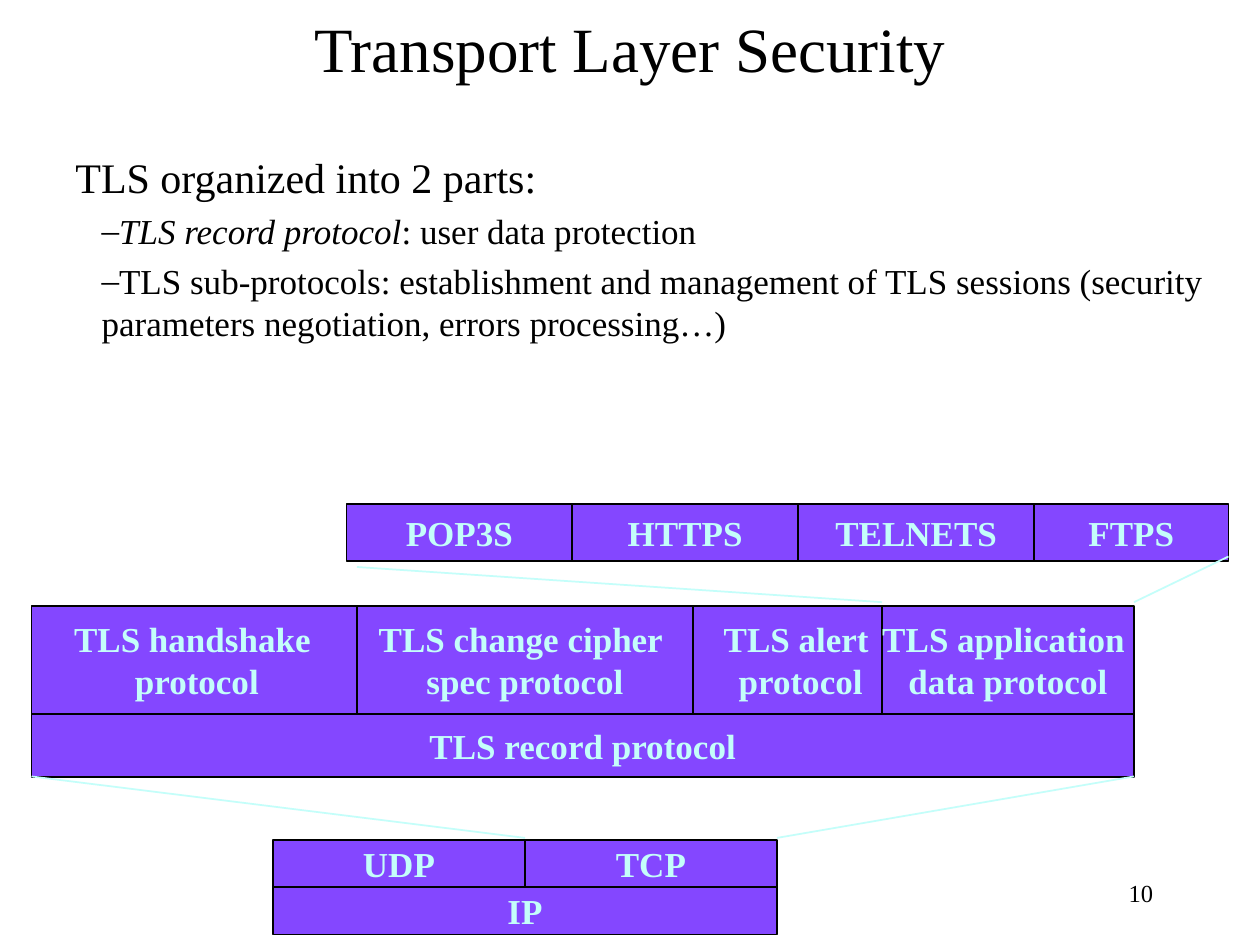
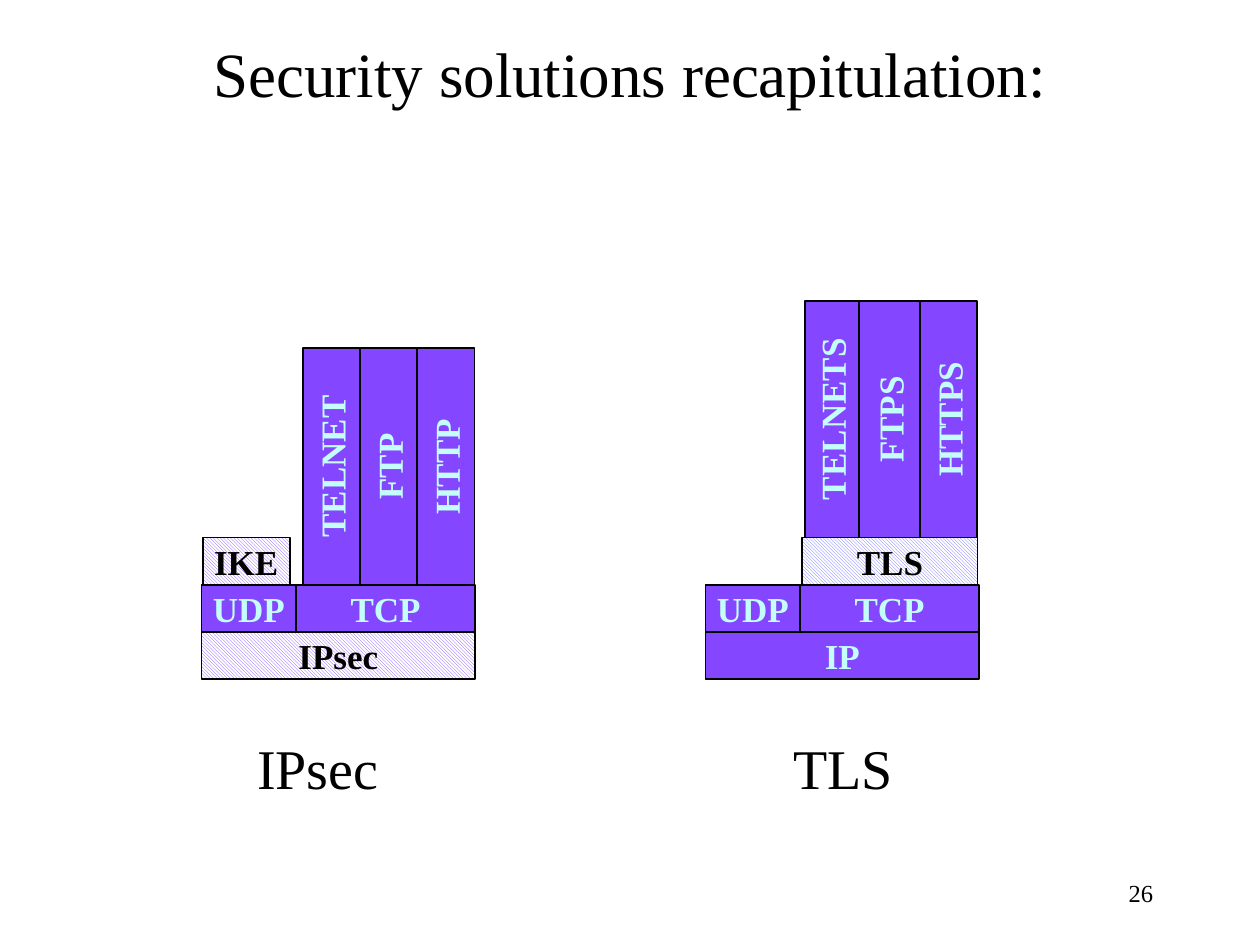
"""Build two slides that compare protocol stacks for network security."""
from dataclasses import dataclass

from lxml.etree import SubElement
from pptx import Presentation
from pptx.dml.color import RGBColor
from pptx.enum.dml import MSO_PATTERN
from pptx.enum.shapes import MSO_CONNECTOR, MSO_SHAPE
from pptx.enum.text import MSO_ANCHOR as Anchor, PP_ALIGN as Align
from pptx.oxml.ns import qn
from pptx.slide import Slide
from pptx.text.text import TextFrame, _Paragraph as Paragraph
from pptx.util import Emu, Inches, Pt

WIDTH, HEIGHT = Inches(10), Inches(7.5)
COLUMNS, ROWS = 240, 180
FONT = "Times New Roman"
BLACK = RGBColor(0x00, 0x00, 0x00)
WHITE = RGBColor(0xFF, 0xFF, 0xFF)
PURPLE = RGBColor(0x84, 0x47, 0xFF)
PERIWINKLE = RGBColor(0x66, 0x66, 0xFF)
AQUA = RGBColor(0xC4, 0xFE, 0xFA)
LEADING_SHARE = 0.23


@dataclass(frozen=True)
class Area:
    """A rectangle in grid columns and rows."""
    column: float
    row: float
    columns: float
    rows: float

    def emu(self) -> tuple[Emu, Emu, Emu, Emu]:
        """Return left, top, width and height."""
        return across(self.column), down(self.row), across(self.columns), down(self.rows)

    def turned(self) -> "Area":
        """Return the area that covers this one after a quarter turn."""
        shift = (self.columns - self.rows) / 2
        return Area(self.column + shift, self.row - shift, self.rows, self.columns)


@dataclass(frozen=True)
class Style:
    """How the text of a box looks."""
    size: int
    color: RGBColor = BLACK
    bold: bool = False
    align: Align = Align.LEFT
    anchor: Anchor = Anchor.TOP
    spaced: bool = False


@dataclass(frozen=True)
class Block:
    """One protocol in a stack."""
    name: str
    area: Area
    hatch: RGBColor | None = None
    upright: bool = False


@dataclass(frozen=True)
class Ray:
    """A line between two layers, in grid columns and rows."""
    start: tuple[float, float]
    end: tuple[float, float]


TITLE = Style(36, align=Align.CENTER, anchor=Anchor.MIDDLE)
NUMBER = Style(14, align=Align.RIGHT, anchor=Anchor.MIDDLE)
LEAD = Style(24, spaced=True)
POINT = Style(20, spaced=True)
CAPTION = Style(32, spaced=True)
SOLID_NAME = Style(20, AQUA, True, Align.CENTER, Anchor.MIDDLE)
HATCHED_NAME = Style(20, BLACK, True, Align.CENTER, Anchor.MIDDLE)
NUMBER_AREA = Area(172, 164, 50, 12)


def across(columns: float) -> Emu:
    """Convert grid columns to a length."""
    return Emu(round(WIDTH * columns / COLUMNS))


def down(rows: float) -> Emu:
    """Convert grid rows to a length."""
    return Emu(round(HEIGHT * rows / ROWS))


def format_para(para: Paragraph, style: Style) -> None:
    """Apply a style to a paragraph and its runs."""
    para.alignment = style.align
    if style.spaced:
        para.space_before = Pt(round(style.size * LEADING_SHARE, 1))
    for span in para.runs:
        span.font.name = FONT
        span.font.size = Pt(style.size)
        span.font.bold = style.bold
        span.font.color.rgb = style.color


def write(frame: TextFrame, text: str, style: Style, wrap: bool = True) -> None:
    """Fill a text frame, one paragraph for each line."""
    frame.text = text
    frame.word_wrap = wrap
    frame.vertical_anchor = style.anchor
    for para in frame.paragraphs:
        format_para(para, style)


def add_text(page: Slide, text: str, area: Area, style: Style) -> TextFrame:
    """Add a text box."""
    frame = page.shapes.add_textbox(*area.emu()).text_frame
    write(frame, text, style)
    return frame


def add_dash_point(frame: TextFrame, text: str, italic_start: str = "") -> None:
    """Add a point with a dash, its opening words possibly in italics."""
    para = frame.add_paragraph()
    if italic_start:
        span = para.add_run()
        span.text = italic_start
        span.font.italic = True
    para.add_run().text = text
    para.level = 1
    format_para(para, POINT)
    properties = para._p.get_or_add_pPr()
    properties.set("marL", str(across(5)))
    properties.set("indent", "0")
    SubElement(properties, qn("a:buFont")).set("typeface", FONT)
    SubElement(properties, qn("a:buChar")).set("char", "–")


def add_block(page: Slide, block: Block) -> None:
    """Draw one protocol block."""
    area = block.area.turned() if block.upright else block.area
    box = page.shapes.add_shape(MSO_SHAPE.RECTANGLE, *area.emu())
    box.rotation = 270 if block.upright else 0
    box.shadow.inherit = False
    box.line.color.rgb = BLACK
    box.line.width = Pt(1)
    if block.hatch:
        box.fill.patterned()
        box.fill.pattern = MSO_PATTERN.LIGHT_DOWNWARD_DIAGONAL
        box.fill.fore_color.rgb = block.hatch
        box.fill.back_color.rgb = WHITE
    else:
        box.fill.solid()
        box.fill.fore_color.rgb = PURPLE
    write(box.text_frame, block.name, HATCHED_NAME if block.hatch else SOLID_NAME, wrap=False)


def add_ray(page: Slide, ray: Ray) -> None:
    """Draw a line that ties one layer to the next."""
    (column, row), (end_column, end_row) = ray.start, ray.end
    line = page.shapes.add_connector(
        MSO_CONNECTOR.STRAIGHT, across(column), down(row), across(end_column), down(end_row))
    line.line.color.rgb = AQUA
    line.line.width = Pt(1)
    SubElement(line._element.spPr, qn("a:effectLst"))


def layer(names: list[str], edges: list[float], row: float, rows: float,
          upright: bool = False) -> list[Block]:
    """Lay blocks side by side between column edges."""
    return [Block(name, Area(left, row, right - left, rows), upright=upright)
            for name, left, right in zip(names, edges, edges[1:])]


def add_page(deck: Presentation, title: str, title_area: Area, number: int) -> Slide:
    """Add a slide with its title and number."""
    page = deck.slides.add_slide(deck.slide_layouts[6])
    add_text(page, title, title_area, TITLE)
    add_text(page, str(number), NUMBER_AREA, NUMBER)
    return page


def add_tls_page(deck: Presentation) -> None:
    """Show the two parts of TLS and where they sit."""
    page = add_page(deck, "Transport Layer Security", Area(12, 0, 216, 18), 10)
    body = add_text(page, "TLS organized into 2 parts:", Area(12, 27.6, 222, 108), LEAD)
    add_dash_point(body, ": user data protection", "TLS record protocol")
    add_dash_point(body, "TLS sub-protocols: establishment and management of TLS sessions "
                         "(security parameters negotiation, errors processing…)")
    blocks = [
        *layer(["POP3S", "HTTPS", "TELNETS", "FTPS"], [66, 109, 152, 197, 234], 96, 10.8),
        Block("TLS handshake \nprotocol", Area(6, 115.4, 63, 20.6)),
        Block("TLS change cipher \nspec protocol", Area(68, 115.4, 64, 20.6)),
        Block("TLS alert \nprotocol", Area(132, 115.4, 41, 20.6)),
        Block("TLS application \ndata protocol", Area(168, 115.4, 48, 20.6)),
        Block("TLS record protocol", Area(6, 136, 210, 12)),
        *layer(["UDP", "TCP"], [52, 100, 148], 160, 9),
        Block("IP", Area(52, 169, 96, 9)),
    ]
    rays = [
        Ray((168, 114.7), (68, 108)),
        Ray((216, 114.7), (234, 106)),
        Ray((100, 159.6), (6, 147.9)),
        Ray((148, 159.6), (216, 147.9)),
    ]
    for block in blocks:
        add_block(page, block)
    for ray in rays:
        add_ray(page, ray)


def add_recap_page(deck: Presentation) -> None:
    """Set the IPsec stack beside the TLS stack."""
    page = add_page(deck, "Security solutions recapitulation:", Area(12, 3.6, 216, 20.4), 26)
    blocks = [
        *layer(["TELNET", "FTP", "HTTP"], [57.7, 68.6, 79.5, 90.4], 66.3, 45.1, upright=True),
        Block("IKE", Area(38.6, 102.4, 16.6, 9), PURPLE),
        *layer(["UDP", "TCP"], [38.4, 56.4, 90.5], 111.4, 9),
        Block("IPsec", Area(38.4, 120.4, 52.1, 9), PURPLE),
        *layer(["TELNETS", "FTPS", "HTTPS"], [153.3, 163.6, 175.3, 186.1], 57.3, 45.1,
               upright=True),
        Block("TLS", Area(152.8, 102.4, 33.4, 9), PERIWINKLE),
        *layer(["UDP", "TCP"], [134.4, 152.4, 186.5], 111.4, 9),
        Block("IP", Area(134.4, 120.4, 52.1, 9)),
    ]
    for block in blocks:
        add_block(page, block)
    add_text(page, "IPsec", Area(46.6, 138.5, 34, 14), CAPTION)
    add_text(page, "TLS", Area(148.8, 138.5, 52.3, 14), CAPTION)


def main() -> None:
    """Build and save the deck."""
    deck = Presentation()
    deck.slide_width, deck.slide_height = WIDTH, HEIGHT
    add_tls_page(deck)
    add_recap_page(deck)
    deck.save("out.pptx")


if __name__ == "__main__":
    main()
